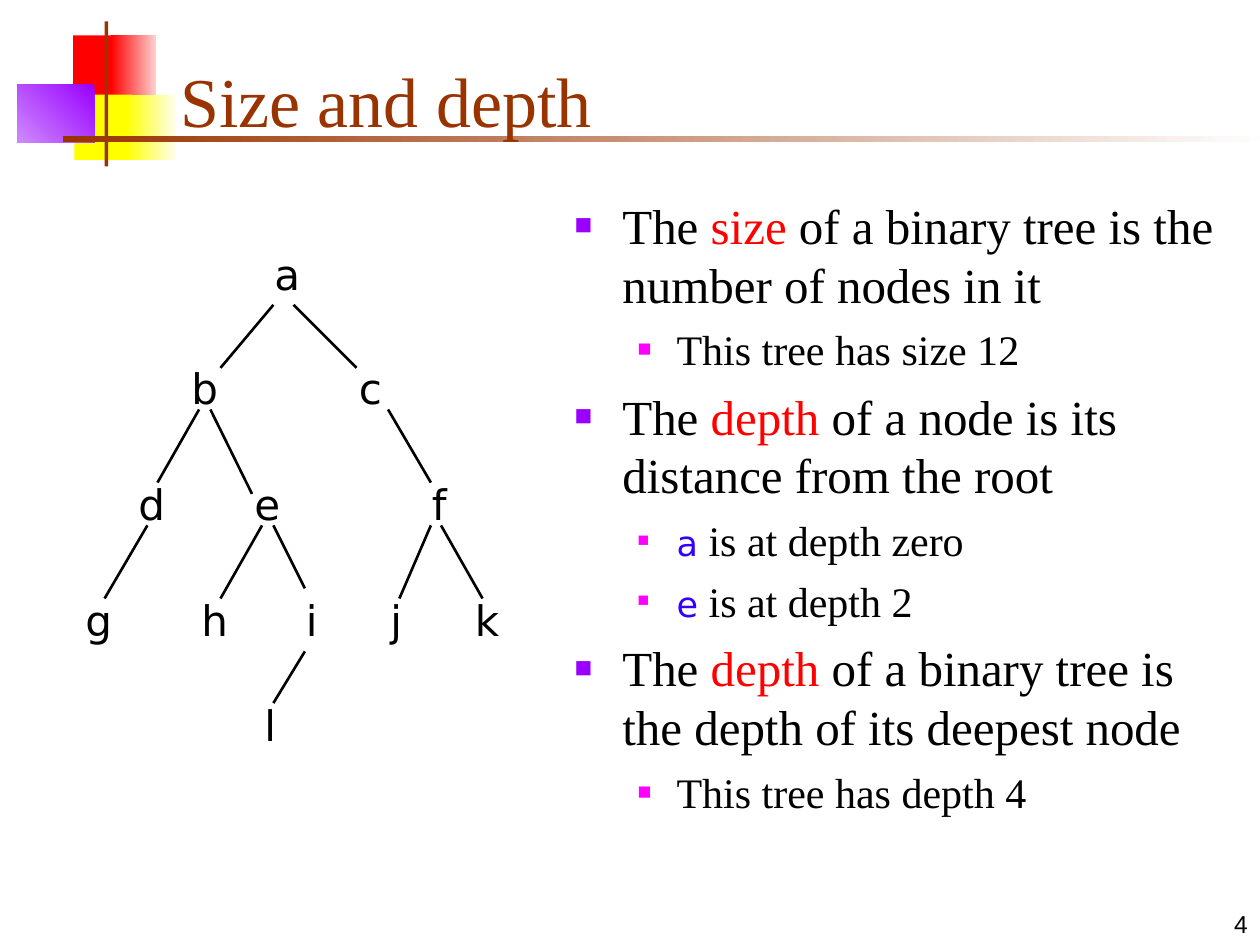
from dataclasses import dataclass

from lxml.etree import SubElement
from pptx import Presentation
from pptx.dml.color import RGBColor
from pptx.enum.shapes import MSO_CONNECTOR as Connector, MSO_SHAPE as Preset
from pptx.enum.text import MSO_ANCHOR as Anchor, MSO_AUTO_SIZE as AutoSize, PP_ALIGN as Align
from pptx.oxml.ns import qn
from pptx.util import Inches, Pt


@dataclass(frozen=True)
class Theme:
    serif: str = "Times New Roman"
    mono: str = "DejaVu Sans"
    sans: str = "Arial"
    ink: str = "000000"
    brown: str = "993300"
    red: str = "FF0000"
    yellow: str = "FFFF00"
    purple: str = "9900FF"
    magenta: str = "FF00FF"
    blue: str = "3300FF"
    title_size: int = 40
    body_sizes: tuple = (28, 24)
    code_size: int = 20
    node_size: int = 24
    number_size: int = 14
    edge_width: float = 1.5


THEME = Theme()

# Per list level: left margin, hanging indent, space before, bullet colour, bullet percent
LEVELS = [
    (0.38, -0.38, 7, THEME.purple, 60),
    (0.81, -0.31, 6, THEME.magenta, 55),
]

# Left, top, width, height, fill; a fill is a colour or (start, end, clockwise angle)
ORNAMENTS = [
    (0.58, 0.28, 0.35, 0.52, THEME.red),
    (0.88, 0.28, 0.36, 0.52, ("FED0D0", THEME.red, 180)),
    (0.59, 0.75, 0.46, 0.52, THEME.yellow),
    (1, 0.75, 0.4, 0.52, ("FEFEEF", THEME.yellow, 180)),
    (0.14, 0.67, 0.61, 0.46, (THEME.purple, "CF8AFE", 135)),
    (0.83, 0.17, 0.03, 1.15, THEME.brown),
    (0.5, 1.08, 9.5, 0.05, ("FEFEFE", THEME.brown, 180)),
]

# Level and runs of text with the style of each
POINTS = [
    (0, [("The ", "plain"), ("size", "term"),
         (" of a binary tree is the number of nodes in it", "plain")]),
    (1, [("This tree has size 12", "plain")]),
    (0, [("The ", "plain"), ("depth", "term"),
         (" of a node is its distance from the root", "plain")]),
    (1, [("a", "code"), (" is at depth zero", "plain")]),
    (1, [("e", "code"), (" is at depth 2", "plain")]),
    (0, [("The ", "plain"), ("depth", "term"),
         (" of a binary tree is the depth of its deepest node", "plain")]),
    (1, [("This tree has depth 4", "plain")]),
]

# Top of each tree row and the left of its nodes
TREE_ROWS = [
    (1.92, {"a": 2.08}),
    (2.83, {"b": 1.42, "c": 2.75}),
    (3.75, {"d": 1, "e": 1.92, "f": 3.33}),
    (4.67, {"g": 0.58, "h": 1.5, "i": 2.33, "j": 3, "k": 3.67}),
    (5.5, {"l": 2}),
]

# Parent end and child end of each branch
BRANCHES = [
    (2.17, 2.42, 1.75, 2.92), (2.33, 2.42, 2.83, 2.92),
    (1.58, 3.25, 1.25, 3.83), (1.67, 3.25, 2, 3.92), (3.08, 3.25, 3.42, 3.83),
    (1.17, 4.17, 0.83, 4.75), (2.08, 4.17, 1.75, 4.75), (2.17, 4.17, 2.42, 4.67),
    (2.42, 5.17, 2.17, 5.58), (3.42, 4.17, 3.17, 4.75), (3.5, 4.17, 3.83, 4.75),
]


def apply(target, **values):
    for name, value in values.items():
        setattr(target, name, value)


def place(shape, *box):
    apply(shape, **dict(zip(("left", "top", "width", "height"), map(Inches, box))))


class SlideBuilder:
    def __init__(self, slide, theme):
        self.slide = slide
        self.theme = theme

    def run(self, paragraph, text, size, face, color):
        run = paragraph.add_run()
        run.text = text
        apply(run.font, size=Pt(size), name=face)
        run.font.color.rgb = RGBColor.from_string(color)

    def ornament(self, left, top, width, height, fill):
        block = self.slide.shapes.add_shape(
            Preset.RECTANGLE, *map(Inches, (left, top, width, height)))
        block.shadow.inherit = False
        block.line.fill.background()
        if isinstance(fill, str):
            block.fill.solid()
            block.fill.fore_color.rgb = RGBColor.from_string(fill)
            return
        *colors, angle = fill
        block.fill.gradient()
        block.fill.gradient_angle = 360 - angle
        for stop, color, position in zip(block.fill.gradient_stops, colors, (0, 1)):
            stop.color.rgb = RGBColor.from_string(color)
            stop.position = position

    def placeholder(self, shape, box, anchor):
        place(shape, *box)
        apply(shape.text_frame, vertical_anchor=anchor, auto_size=AutoSize.NONE, word_wrap=True)
        # Bring the text in front of the ornaments
        shape.element.getparent().append(shape.element)
        return shape.text_frame

    def title(self, text, *box):
        heading = self.placeholder(self.slide.shapes.title, box, Anchor.BOTTOM).paragraphs[0]
        heading.alignment = Align.LEFT
        self.run(heading, text, self.theme.title_size, self.theme.serif, self.theme.brown)

    def bullet(self, paragraph, level):
        margin, indent, space, color, percent = LEVELS[level]
        apply(paragraph, level=level, space_before=Pt(space))
        props = paragraph._p.get_or_add_pPr()
        props.set("marL", str(Inches(margin)))
        props.set("indent", str(Inches(indent)))
        SubElement(SubElement(props, qn("a:buClr")), qn("a:srgbClr"), val=color)
        SubElement(props, qn("a:buSzPct"), val=str(percent * 1000))
        SubElement(props, qn("a:buFont"), typeface=self.theme.serif)
        SubElement(props, qn("a:buChar"), char="■")

    def points(self, items, *box):
        theme = self.theme
        frame = self.placeholder(self.slide.placeholders[1], box, Anchor.TOP)
        for index, (level, parts) in enumerate(items):
            point = frame.add_paragraph() if index else frame.paragraphs[0]
            self.bullet(point, level)
            size = theme.body_sizes[level]
            styles = {
                "plain": (size, theme.serif, theme.ink),
                "term": (size, theme.serif, theme.red),
                "code": (theme.code_size, theme.mono, theme.blue),
            }
            for text, style in parts:
                self.run(point, text, *styles[style])

    def label(self, shapes, text, box, size, face, frame_format, paragraph_format):
        frame = shapes.add_textbox(*map(Inches, box)).text_frame
        apply(frame, word_wrap=True, **frame_format)
        apply(frame.paragraphs[0], **paragraph_format)
        self.run(frame.paragraphs[0], text, size, face, self.theme.ink)

    def branch(self, shapes, ends):
        edge = shapes.add_connector(Connector.STRAIGHT, *map(Inches, ends))
        edge.line.width = Pt(self.theme.edge_width)
        edge.line.color.rgb = RGBColor.from_string(self.theme.ink)
        SubElement(edge.element.spPr, qn("a:effectLst"))

    def tree(self, rows, branches):
        shapes = self.slide.shapes.add_group_shape().shapes
        for top, nodes in rows:
            for name, left in nodes.items():
                self.label(shapes, name, (left, top, 0.42, 0.5),
                           self.theme.node_size, self.theme.mono,
                           {"auto_size": AutoSize.SHAPE_TO_FIT_TEXT},
                           {"space_before": Pt(15)})
        for ends in branches:
            self.branch(shapes, ends)

    def page_number(self, number, *box):
        self.label(self.slide.shapes, number, box, self.theme.number_size, self.theme.sans,
                   {"vertical_anchor": Anchor.BOTTOM}, {"alignment": Align.RIGHT})


def main():
    deck = Presentation()
    apply(deck, slide_width=Inches(10), slide_height=Inches(7.5))
    builder = SlideBuilder(deck.slides.add_slide(deck.slide_layouts[1]), THEME)

    # Corner blocks and rules
    for ornament in ORNAMENTS:
        builder.ornament(*ornament)

    # Title and list
    builder.title("Size and depth", 1.33, 0.25, 8.52, 0.92)
    builder.points(POINTS, 4.46, 1.5, 5.33, 5.21)

    # Binary tree and page number
    builder.tree(TREE_ROWS, BRANCHES)
    builder.page_number("4", 7.92, 7, 2.08, 0.5)
    deck.save("out.pptx")


if __name__ == "__main__":
    main()
